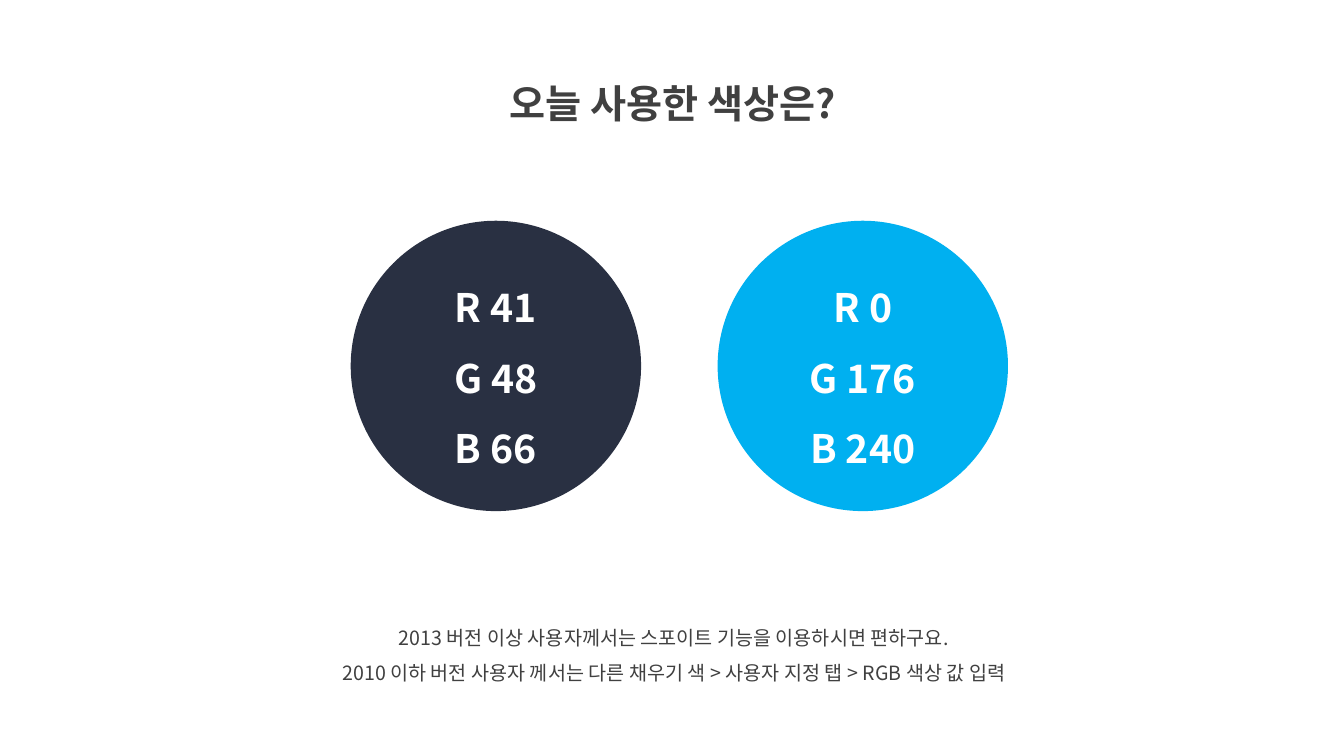
from dataclasses import dataclass

from lxml.etree import SubElement
from pptx import Presentation
from pptx.dml.color import RGBColor
from pptx.enum.shapes import MSO_SHAPE as Shape
from pptx.enum.text import MSO_ANCHOR as Anchor
from pptx.enum.text import MSO_AUTO_SIZE as AutoSize
from pptx.enum.text import PP_ALIGN as Align
from pptx.oxml.ns import qn
from pptx.util import Pt


@dataclass(frozen=True)
class Theme:
    font: str = "Noto Sans CJK KR"
    text: RGBColor = RGBColor(64, 64, 64)
    white: RGBColor = RGBColor(255, 255, 255)
    navy: RGBColor = RGBColor(41, 48, 66)
    sky: RGBColor = RGBColor(0, 176, 240)
    heading_size: int = 28
    note_size: int = 14
    line_spacing: float = 1.5


THEME = Theme()
TITLE_ONLY = 5

# Circle row
CIRCLE_LEFT, CIRCLE_TOP = 250.5, 157.7
CIRCLE_SIZE, CIRCLE_STEP = 207.4, 262.1


def write_lines(frame, lines, size, color, bold=False, anchor=Anchor.TOP):
    """Fill a text frame with centred lines, one paragraph each."""
    frame.word_wrap = True
    frame.vertical_anchor = anchor
    for index, line in enumerate(lines):
        paragraph = frame.add_paragraph() if index else frame.paragraphs[0]
        paragraph.alignment = Align.CENTER
        paragraph.line_spacing = THEME.line_spacing
        paragraph.space_before = Pt(0)
        run = paragraph.add_run()
        run.text = line
        run.font.size = Pt(size)
        run.font.bold = bold
        run.font.color.rgb = color
        run.font.name = THEME.font
        # Hangul takes its typeface from the East Asian font
        SubElement(run.font._element, qn("a:ea"), typeface=THEME.font)


def set_title(slide, text):
    title = slide.shapes.title
    title.left, title.top = Pt(313.9), Pt(36)
    title.width, title.height = Pt(333.4), Pt(51.8)
    title.text_frame.auto_size = AutoSize.SHAPE_TO_FIT_TEXT
    write_lines(title.text_frame, [text], THEME.heading_size, THEME.text, bold=True)


def add_color_circle(slide, left, color):
    """Draw a circle labelled with the channels of its own fill."""
    circle = slide.shapes.add_shape(
        Shape.OVAL, Pt(left), Pt(CIRCLE_TOP), Pt(CIRCLE_SIZE), Pt(CIRCLE_SIZE))
    circle.shadow.inherit = False
    circle.fill.solid()
    circle.fill.fore_color.rgb = color
    circle.line.fill.background()
    labels = [f"{channel} {value}" for channel, value in zip("RGB", color)]
    write_lines(circle.text_frame, labels, THEME.heading_size, THEME.white,
                bold=True, anchor=Anchor.MIDDLE)


def add_note(slide, lines):
    note = slide.shapes.add_textbox(Pt(193.7), Pt(434.9), Pt(575.3), Pt(58.3))
    note.text_frame.auto_size = AutoSize.SHAPE_TO_FIT_TEXT
    write_lines(note.text_frame, lines, THEME.note_size, THEME.text)


def main():
    presentation = Presentation()
    presentation.slide_width, presentation.slide_height = Pt(960), Pt(540)
    slide = presentation.slides.add_slide(presentation.slide_layouts[TITLE_ONLY])

    # Heading
    set_title(slide, "오늘 사용한 색상은?")

    # Colours in use
    for index, color in enumerate((THEME.navy, THEME.sky)):
        add_color_circle(slide, CIRCLE_LEFT + index * CIRCLE_STEP, color)

    # How to apply them
    add_note(slide, [
        "2013 버전 이상 사용자께서는 스포이트 기능을 이용하시면 편하구요.",
        "2010 이하 버전 사용자 께서는 다른 채우기 색 > 사용자 지정 탭 > RGB 색상 값 입력",
    ])

    presentation.save("out.pptx")


if __name__ == "__main__":
    main()
